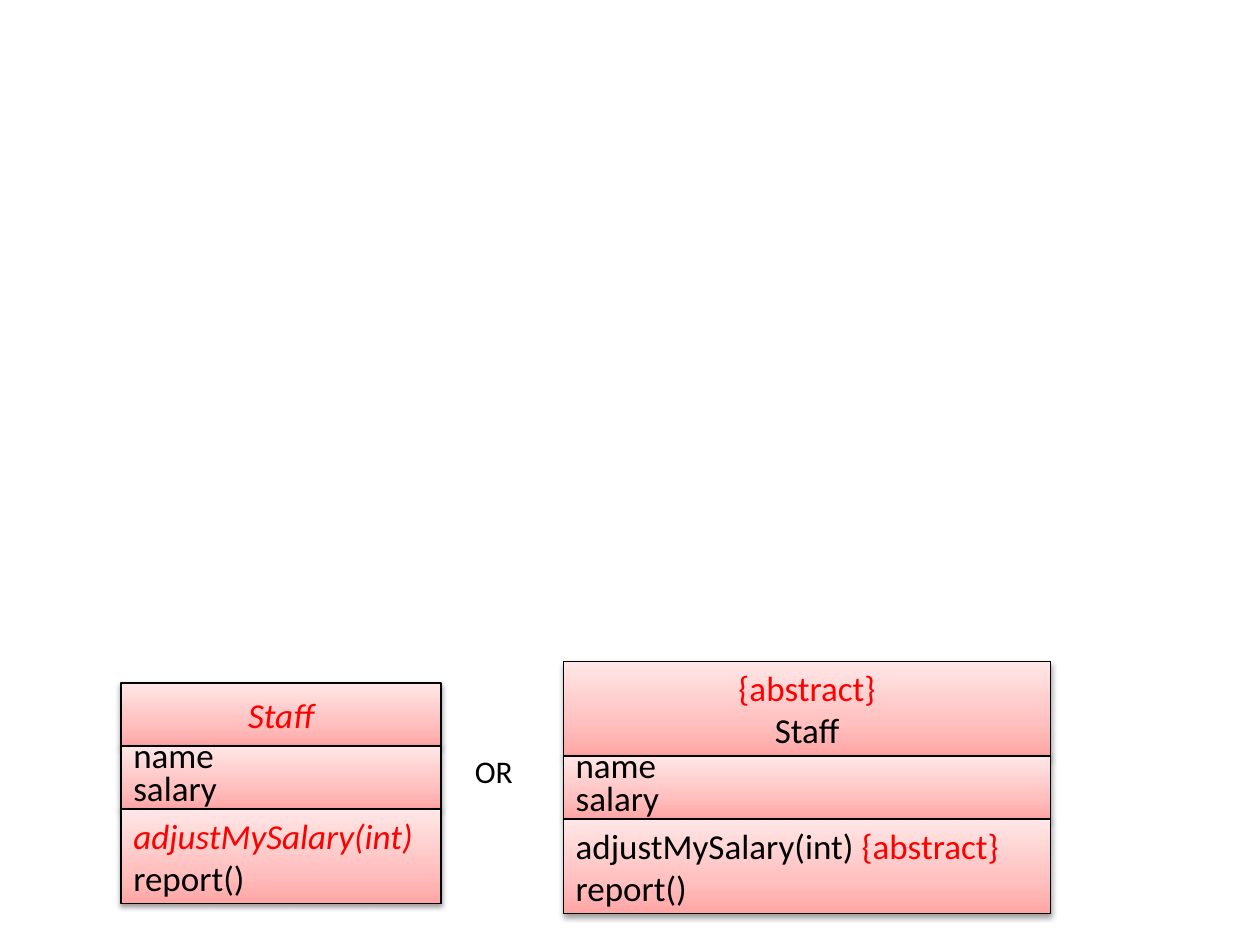
from dataclasses import dataclass

from lxml.etree import SubElement
from pptx import Presentation
from pptx.dml.color import RGBColor as Rgb
from pptx.enum.shapes import MSO_SHAPE as Shape
from pptx.enum.text import MSO_ANCHOR as Anchor, MSO_AUTO_SIZE as AutoSize, PP_ALIGN as Align
from pptx.oxml import parse_xml
from pptx.oxml.ns import nsdecls, qn
from pptx.util import Inches, Pt


@dataclass(frozen=True)
class Theme:
    font: str = "Calibri"
    member_size: int = 20
    label_size: int = 18
    ink: str = "000000"
    accent: str = "FF0000"
    outline: float = 0.75
    gradient: tuple = ((0, "FFA6A5"), (35, "FFC0BF"), (100, "FFE7E7"))
    gradient_angle: int = 270
    shadow_blur: float = 3.15
    shadow_distance: float = 1.57
    shadow_opacity: int = 38
    tight_spacing: float = 0.6
    tight_gap: int = 4


THEME = Theme()
SLIDE_WIDTH, SLIDE_HEIGHT = 10, 7.5
ROW = SLIDE_HEIGHT / 30

PLAIN, ABSTRACT, ABSTRACT_ITALIC = (THEME.ink, False), (THEME.accent, False), (THEME.accent, True)
ATTRIBUTES = [[("name", PLAIN)], [("salary", PLAIN)]]
REPORT = [("report()", PLAIN)]

CLASSES = [
    {
        "left": 0.96, "top": 5.42, "width": 2.54,
        "title": (2, [[("Staff", ABSTRACT_ITALIC)]]),
        "attributes": (2, ATTRIBUTES),
        "operations": (3, [[("adjustMySalary(int)", ABSTRACT_ITALIC)], REPORT]),
    },
    {
        "left": 4.47, "top": 5.25, "width": 3.87,
        "title": (3, [[("{abstract}", ABSTRACT)], [("Staff", PLAIN)]]),
        "attributes": (2, ATTRIBUTES),
        "operations": (3, [[("adjustMySalary(int) ", PLAIN), ("{abstract}", ABSTRACT)], REPORT]),
    },
]
ALTERNATIVE = {"text": "OR", "box": (3.67, 5.92, 0.58, 0.39)}


def style_font(font, size, color, italic=False):
    font.name, font.size, font.italic = THEME.font, Pt(size), italic
    font.color.rgb = Rgb.from_string(color)


def paint_compartment(compartment):
    stops = "".join(
        f'<a:gs pos="{position * 1000}"><a:srgbClr val="{color}"/></a:gs>'
        for position, color in THEME.gradient
    )
    gradient = parse_xml(
        f'<a:gradFill {nsdecls("a")} rotWithShape="1"><a:gsLst>{stops}</a:gsLst>'
        f'<a:lin ang="{THEME.gradient_angle * 60000}" scaled="0"/></a:gradFill>'
    )
    properties = compartment.fill._xPr
    properties.find(qn("a:prstGeom")).addnext(gradient)
    compartment.line.color.rgb = Rgb.from_string(THEME.ink)
    compartment.line.width = Pt(THEME.outline)
    compartment.shadow.inherit = False
    shadow = SubElement(
        properties.find(qn("a:effectLst")), qn("a:outerShdw"),
        blurRad=str(Pt(THEME.shadow_blur)), dist=str(Pt(THEME.shadow_distance)),
        dir=str(90 * 60000), rotWithShape="0",
    )
    shade = SubElement(shadow, qn("a:srgbClr"), val=THEME.ink)
    SubElement(shade, qn("a:alpha"), val=str(THEME.shadow_opacity * 1000))


def write_lines(frame, lines, part):
    frame.word_wrap = True
    frame.vertical_anchor = Anchor.MIDDLE
    for index, line in enumerate(lines):
        paragraph = frame.add_paragraph() if index else frame.paragraphs[0]
        paragraph.alignment = Align.CENTER if part == "title" else Align.LEFT
        if part == "attributes":
            paragraph.line_spacing = THEME.tight_spacing
            paragraph.space_before = Pt(THEME.tight_gap if index else 0)
        for text, (color, italic) in line:
            run = paragraph.add_run()
            run.text = text
            style_font(run.font, THEME.member_size, color, italic)


def draw_class(slide, diagram):
    top = diagram["top"]
    for part in ("title", "attributes", "operations"):
        rows, lines = diagram[part]
        height = rows * ROW
        box = (diagram["left"], top, diagram["width"], height)
        compartment = slide.shapes.add_shape(Shape.RECTANGLE, *map(Inches, box))
        paint_compartment(compartment)
        write_lines(compartment.text_frame, lines, part)
        top += height


def draw_alternative(slide):
    frame = slide.shapes.add_textbox(*map(Inches, ALTERNATIVE["box"])).text_frame
    frame.word_wrap = True
    frame.auto_size = AutoSize.SHAPE_TO_FIT_TEXT
    frame.text = ALTERNATIVE["text"]
    style_font(frame.paragraphs[0].runs[0].font, THEME.label_size, THEME.ink)


def main():
    deck = Presentation()
    deck.slide_width, deck.slide_height = Inches(SLIDE_WIDTH), Inches(SLIDE_HEIGHT)
    slide = deck.slides.add_slide(deck.slide_layouts[6])
    for diagram in CLASSES:
        draw_class(slide, diagram)
    draw_alternative(slide)
    deck.save("out.pptx")


if __name__ == "__main__":
    main()
